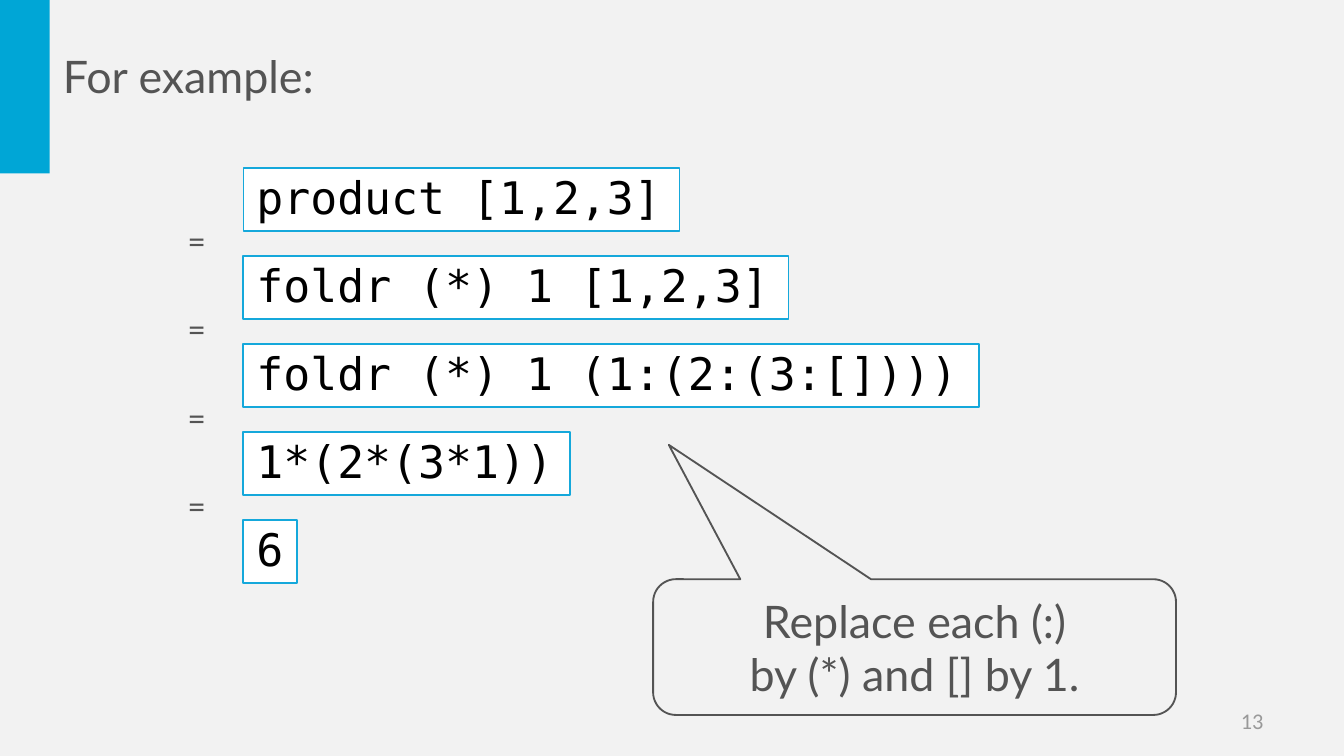
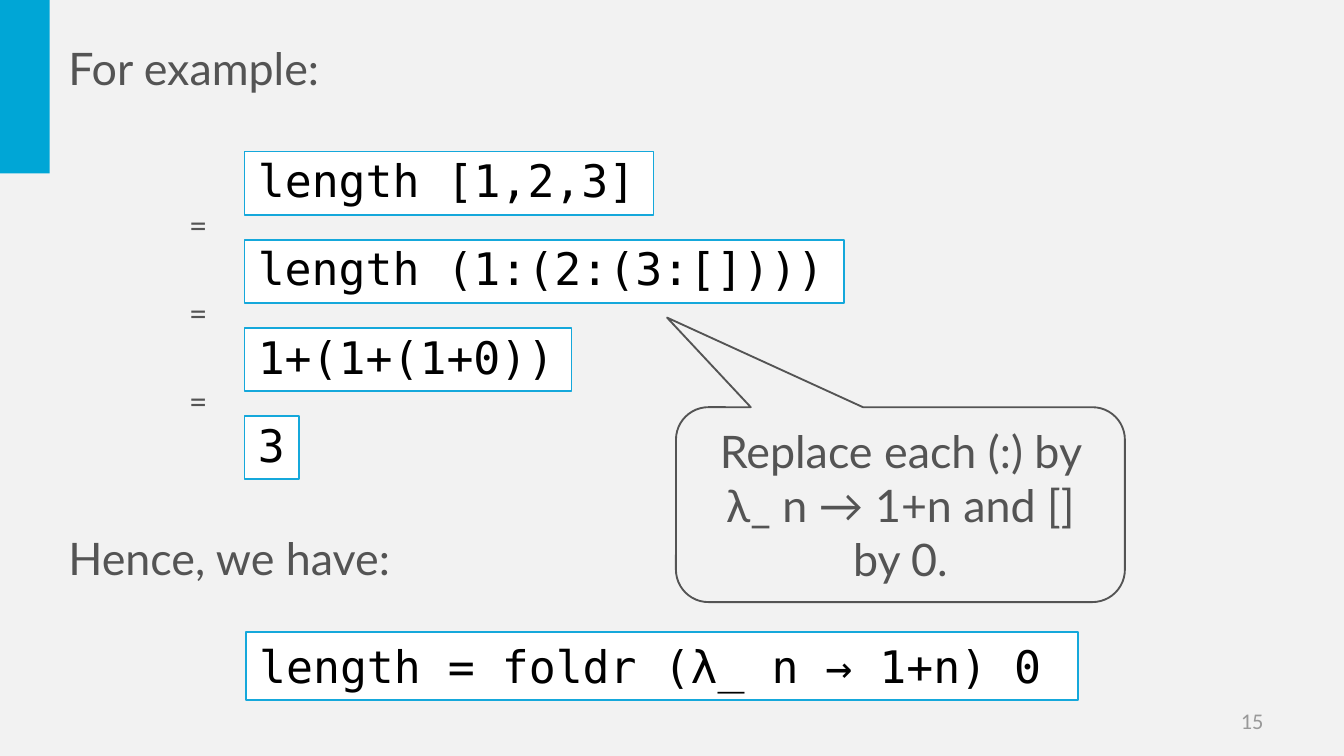
from pptx import Presentation
from pptx.dml.color import RGBColor
from pptx.enum.shapes import MSO_SHAPE
from pptx.enum.text import MSO_ANCHOR, MSO_AUTO_SIZE, PP_ALIGN
from pptx.util import Inches, Pt

RECTANGLE = MSO_SHAPE.RECTANGLE
CALLOUT = MSO_SHAPE.ROUNDED_RECTANGULAR_CALLOUT
LEFT, CENTER, RIGHT = PP_ALIGN.LEFT, PP_ALIGN.CENTER, PP_ALIGN.RIGHT
MIDDLE = MSO_ANCHOR.MIDDLE
GROW, FIXED = MSO_AUTO_SIZE.SHAPE_TO_FIT_TEXT, MSO_AUTO_SIZE.NONE

COLORS = {
    "background": "F2F2F2",
    "band": "00A6D6",
    "border": "15A8DB",
    "panel": "FFFFFF",
    "code": "000000",
    "body": "545454",
    "number": "999999",
}
BODY_FONT, CODE_FONT, SMALL_FONT = "Lato", "DejaVu Sans Mono", "Calibri"
CELL = 0.1
COLUMNS, ROWS = 100, 56.25
STEP_PITCH = 6.55
CODE_HEIGHT = 4.7
CHARACTER, MARGINS = 2.03, 2


def color(name):
    """Return the palette colour with this name."""
    return RGBColor.from_string(COLORS[name])


class Lecture:
    """Hold the deck, its style and the current page, on a grid of square cells."""

    def __init__(self):
        """Start a deck with the shared background."""
        self.deck = Presentation()
        self.deck.slide_width, self.deck.slide_height = self.cells(COLUMNS, ROWS)
        fill = self.deck.slide_master.background.fill
        fill.solid()
        fill.fore_color.rgb = color("background")
        self.page = None

    def cells(self, *counts):
        """Turn columns or rows into lengths."""
        return [Inches(count * CELL) for count in counts]

    def start_page(self, number):
        """Add a page with its corner band and page number."""
        self.page = self.deck.slides.add_slide(self.deck.slide_layouts[6])
        self.shape(RECTANGLE, (0, 0, 3.7, 12.9), fill="band")
        self.text((71.7, 52.1, 23.3, 3), [str(number)], SMALL_FONT, 12, "number",
                  RIGHT, fit=FIXED)

    def shape(self, kind, place, fill=None, line=None, weight=1):
        """Add a preset shape without shadow."""
        box = self.page.shapes.add_shape(kind, *self.cells(*place))
        box.shadow.inherit = False
        if fill:
            box.fill.solid()
            box.fill.fore_color.rgb = color(fill)
        else:
            box.fill.background()
        if line:
            box.line.color.rgb = color(line)
            box.line.width = Pt(weight)
        else:
            box.line.fill.background()
        return box

    def add_lines(self, box, lines, font, size, ink, align, wrap=True, fit=GROW, spacing=None):
        """Fill a box with one paragraph for each line."""
        frame = box.text_frame
        frame.word_wrap = wrap
        frame.auto_size = fit
        frame.vertical_anchor = MIDDLE
        for index, line in enumerate(lines):
            para = frame.add_paragraph() if index else frame.paragraphs[0]
            para.alignment = align
            para.line_spacing = spacing
            span = para.add_run()
            span.text = line
            span.font.name = font
            span.font.size = Pt(size)
            span.font.color.rgb = color(ink)

    def text(self, place, lines, font=BODY_FONT, size=24, ink="body", align=LEFT,
             wrap=True, fit=GROW):
        """Add a text box."""
        box = self.page.shapes.add_textbox(*self.cells(*place))
        self.add_lines(box, lines, font, size, ink, align, wrap, fit)

    def code(self, left, top, source, width=None, height=CODE_HEIGHT, weight=1, spacing=0.9):
        """Add a framed line of code, as wide as its characters need."""
        width = width or MARGINS + CHARACTER * len(source)
        box = self.shape(RECTANGLE, (left, top, width, height), "panel", "border", weight)
        self.add_lines(box, [source], CODE_FONT, 24, "code", LEFT, False, spacing=spacing)

    def derivation(self, left, top, steps):
        """Stack lines of code with an equals sign before each later step."""
        for index, source in enumerate(steps):
            row = top + index * STEP_PITCH
            self.code(left, row, source, weight=1 if index else 0.75)
            if index:
                self.text((left - 5.1, row - 3.15, 3.3, 4), ["="], SMALL_FONT, 18,
                          align=CENTER, wrap=False)

    def callout(self, place, lines, pointer):
        """Add a rounded callout whose tip lies at the pointer."""
        box = self.shape(CALLOUT, place, line="body")
        for index, value in enumerate(pointer):
            box.adjustments[index] = value
        self.add_lines(box, lines, BODY_FONT, 24, "body", CENTER)


def product_page(lecture):
    """Build the page that unfolds product."""
    lecture.start_page(13)
    lecture.derivation(18.1, 12.5, [
        "product [1,2,3]",
        "foldr (*) 1 [1,2,3]",
        "foldr (*) 1 (1:(2:(3:[])))",
        "1*(2*(3*1))",
        "6",
    ])
    lecture.text((3.7, 3.1, 88.6, 5), ["For example:"])
    lecture.callout((48.6, 43.1, 38.9, 10.1),
                    ["Replace each (:)", "by (*) and [] by 1."], (-0.47, -1.49))


def length_page(lecture):
    """Build the page that unfolds length."""
    lecture.start_page(15)
    lecture.derivation(18.2, 11.3, [
        "length [1,2,3]",
        "length (1:(2:(3:[])))",
        "1+(1+(1+0))",
        "3",
    ])
    lecture.text((4.1, 38.9, 26.9, 5.1), ["Hence, we have:"], wrap=False)
    lecture.code(18.3, 47, "length = foldr (λ_ n → 1+n) 0", 61.9, 5.1, spacing=None)
    lecture.callout((50.3, 30.3, 33.4, 14.5),
                    ["Replace each (:) by λ_ n → 1+n and [] by 0."], (-0.52, -0.96))
    lecture.text((4.1, 2.5, 21.4, 5), ["For example:"], wrap=False)


def main():
    """Build and save the deck."""
    lecture = Lecture()
    product_page(lecture)
    length_page(lecture)
    lecture.deck.save("out.pptx")


if __name__ == "__main__":
    main()
